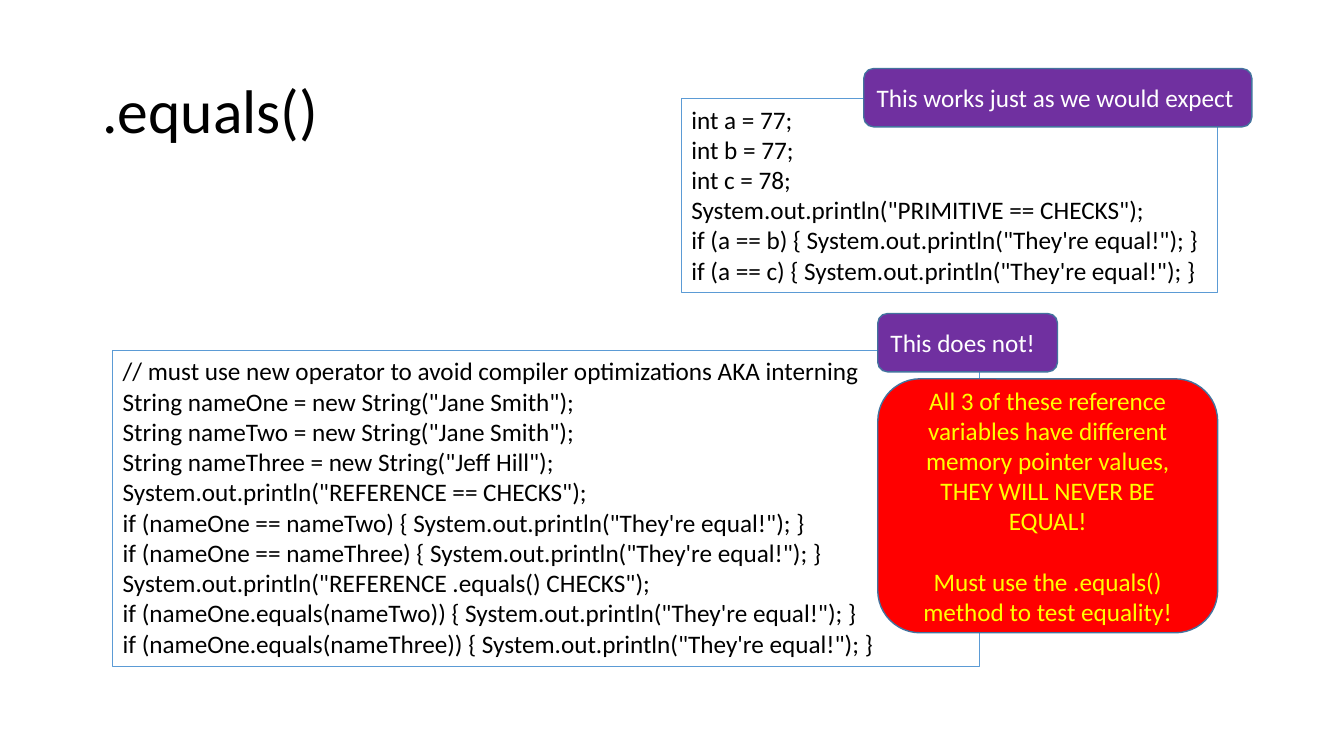
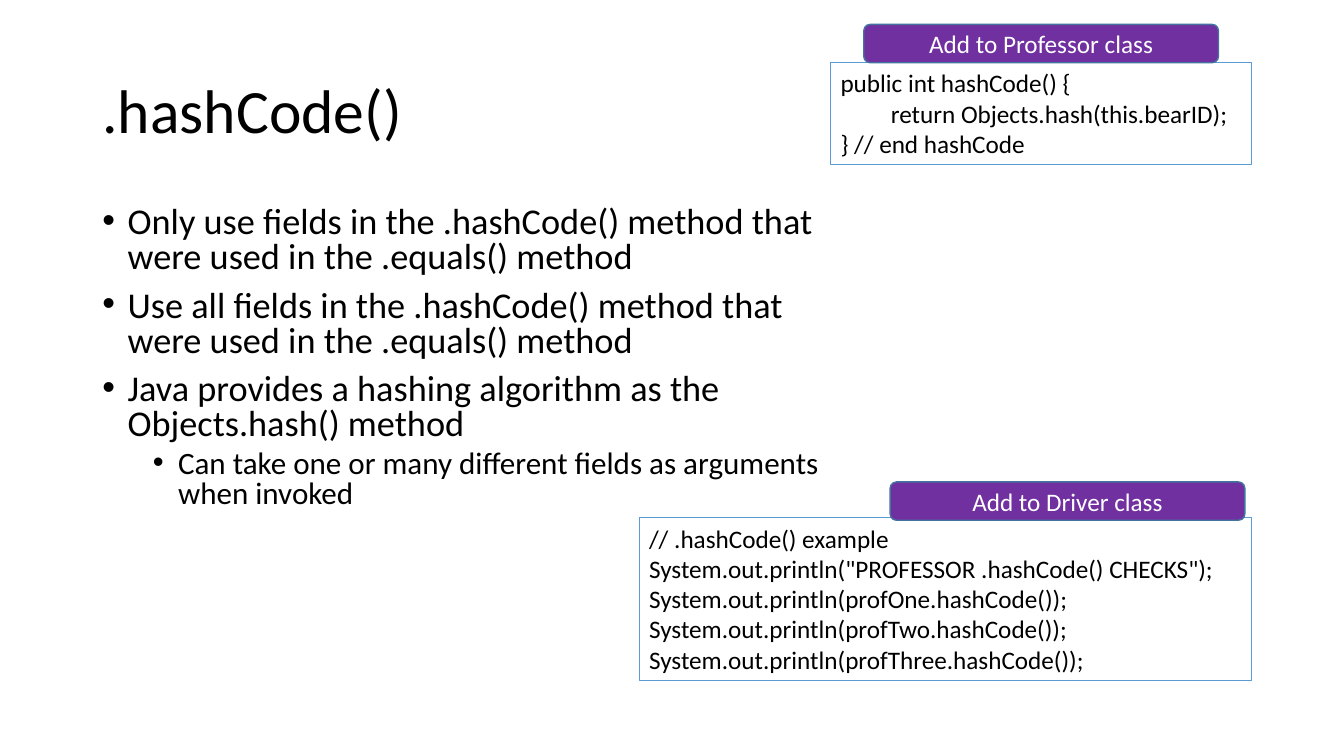
from pptx import Presentation
from pptx.dml.color import RGBColor
from pptx.enum.shapes import MSO_SHAPE as SHAPE
from pptx.enum.text import MSO_ANCHOR as ANCHOR, MSO_AUTO_SIZE as FIT, PP_ALIGN as ALIGN
from pptx.util import Pt
from lxml.etree import SubElement
from pptx.oxml.ns import qn

HEX = {"text": "000000", "frame": "5B9BD5", "edge": "43739E", "tag": "7030A0",
       "white": "FFFFFF", "alert": "FF0000", "yellow": "FFFF00"}
RGB = {name: RGBColor.from_string(code) for name, code in HEX.items()}
FONT = "Calibri"


def style(frame, size, color, align=ALIGN.LEFT):
    """Format all the text in a frame and let it wrap at a fixed size."""
    frame.word_wrap = True
    frame.auto_size = FIT.NONE
    for para in frame.paragraphs:
        para.alignment = align
        for run in para.runs:
            run.font.name = FONT
            run.font.size = Pt(size)
            run.font.color.rgb = RGB[color]


def add_box(slide, kind, at, text, fill, line, width, color, align=ALIGN.LEFT):
    """Add an outlined shape holding text and return its text frame."""
    shape = slide.shapes.add_shape(kind, *map(Pt, at))
    shape.shadow.inherit = False
    if fill:
        shape.fill.solid()
        shape.fill.fore_color.rgb = RGB[fill]
    else:
        shape.fill.background()
    shape.line.color.rgb = RGB[line]
    shape.line.width = Pt(width)
    frame = shape.text_frame
    frame.text = text
    frame.vertical_anchor = ANCHOR.MIDDLE if fill else ANCHOR.TOP
    style(frame, 18, color, align)
    return frame


deck = Presentation()
deck.slide_width, deck.slide_height = Pt(960), Pt(540)

# Slides and titles
slides = []
for name, layout in ((".equals()", 5), (".hashCode()", 1)):
    slide = deck.slides.add_slide(deck.slide_layouts[layout])
    title = slide.shapes.title
    title.left, title.top, title.width, title.height = map(Pt, (66, 28.8, 828, 104.4))
    title.text_frame.text = name
    title.text_frame.vertical_anchor = ANCHOR.MIDDLE
    title.text_frame.paragraphs[0].line_spacing = 0.9
    style(title.text_frame, 44, "text")
    slides.append(slide)
equals, hashing = slides

# Bullet list
body = hashing.placeholders[1]
body.left, body.top, body.width, body.height = map(Pt, (66, 144, 527, 226))
points = [
    (0, "Only use fields in the .hashCode() method that were used in the .equals() method"),
    (0, "Use all fields in the .hashCode() method that were used in the .equals() method"),
    (0, "Java provides a hashing algorithm as the Objects.hash() method"),
    (1, "Can take one or many different fields as arguments when invoked"),
]
frame = body.text_frame
frame.text = "\n".join(text for level, text in points)
style(frame, 25.9, "text")
for para, (level, text) in zip(frame.paragraphs, points):
    para.level = level
    para.line_spacing = 0.8
    para.space_before = Pt(5 if level else 10)
    props = para._p.get_or_add_pPr()
    props.set("marL", str(Pt(54 if level else 18)))
    props.set("indent", str(Pt(-18)))
    SubElement(props, qn("a:buChar")).set("char", "•")
    if level:
        para.runs[0].font.size = Pt(22.2)

# Code boxes
codes = [
    (equals, (486.7, 70.6, 383, 138.2), '''int a = 77;
int b = 77;
int c = 78;
System.out.println("PRIMITIVE == CHECKS");
if (a == b) { System.out.println("They're equal!"); }
if (a == c) { System.out.println("They're equal!"); }'''),
    (equals, (80.6, 250.6, 619.2, 225.4),
     '''// must use new operator to avoid compiler optimizations AKA interning
String nameOne = new String("Jane Smith");
String nameTwo = new String("Jane Smith");
String nameThree = new String("Jeff Hill");
System.out.println("REFERENCE == CHECKS");
if (nameOne == nameTwo) { System.out.println("They're equal!"); }
if (nameOne == nameThree) { System.out.println("They're equal!"); }
System.out.println("REFERENCE .equals() CHECKS");
if (nameOne.equals(nameTwo)) { System.out.println("They're equal!"); }
if (nameOne.equals(nameThree)) { System.out.println("They're equal!"); }'''),
    (hashing, (593.3, 44.8, 301, 72.7), '''public int hashCode() {
return Objects.hash(this.bearID);
} // end hashCode'''),
    (hashing, (456.5, 370, 437.8, 116.4), '''// .hashCode() example
System.out.println("PROFESSOR .hashCode() CHECKS");
System.out.println(profOne.hashCode());
System.out.println(profTwo.hashCode());
System.out.println(profThree.hashCode());'''),
]
for slide, at, text in codes:
    frame = add_box(slide, SHAPE.RECTANGLE, at, text, None, "frame", 0.75, "text")
    for para in frame.paragraphs:
        if para.text.startswith("return"):
            para.level = 1
            para._p.get_or_add_pPr().set("marL", str(Pt(36)))

# Purple tags
tags = [
    (equals, (617, 49, 277.2, 41.6), "This works just as we would expect", ALIGN.LEFT),
    (equals, (627, 224, 128.4, 41.6), "This does not!", ALIGN.LEFT),
    (hashing, (617, 17.4, 253.4, 27.4), "Add to Professor class", ALIGN.CENTER),
    (hashing, (635.8, 344.2, 253.4, 27.4), "Add to Driver class", ALIGN.CENTER),
]
for slide, at, text, align in tags:
    add_box(slide, SHAPE.ROUNDED_RECTANGLE, at, text, "tag", "edge", 1, "white", align)

# Red warning
warning = add_box(
    equals, SHAPE.ROUNDED_RECTANGLE, (627, 270.6, 242.8, 181.4),
    "All 3 of these reference variables have different memory pointer values, "
    "THEY WILL NEVER BE EQUAL!\nMust use the .equals() method to test equality!",
    "alert", "edge", 1, "yellow", ALIGN.CENTER)
warning.paragraphs[1].space_before = Pt(21.6)

deck.save("out.pptx")
